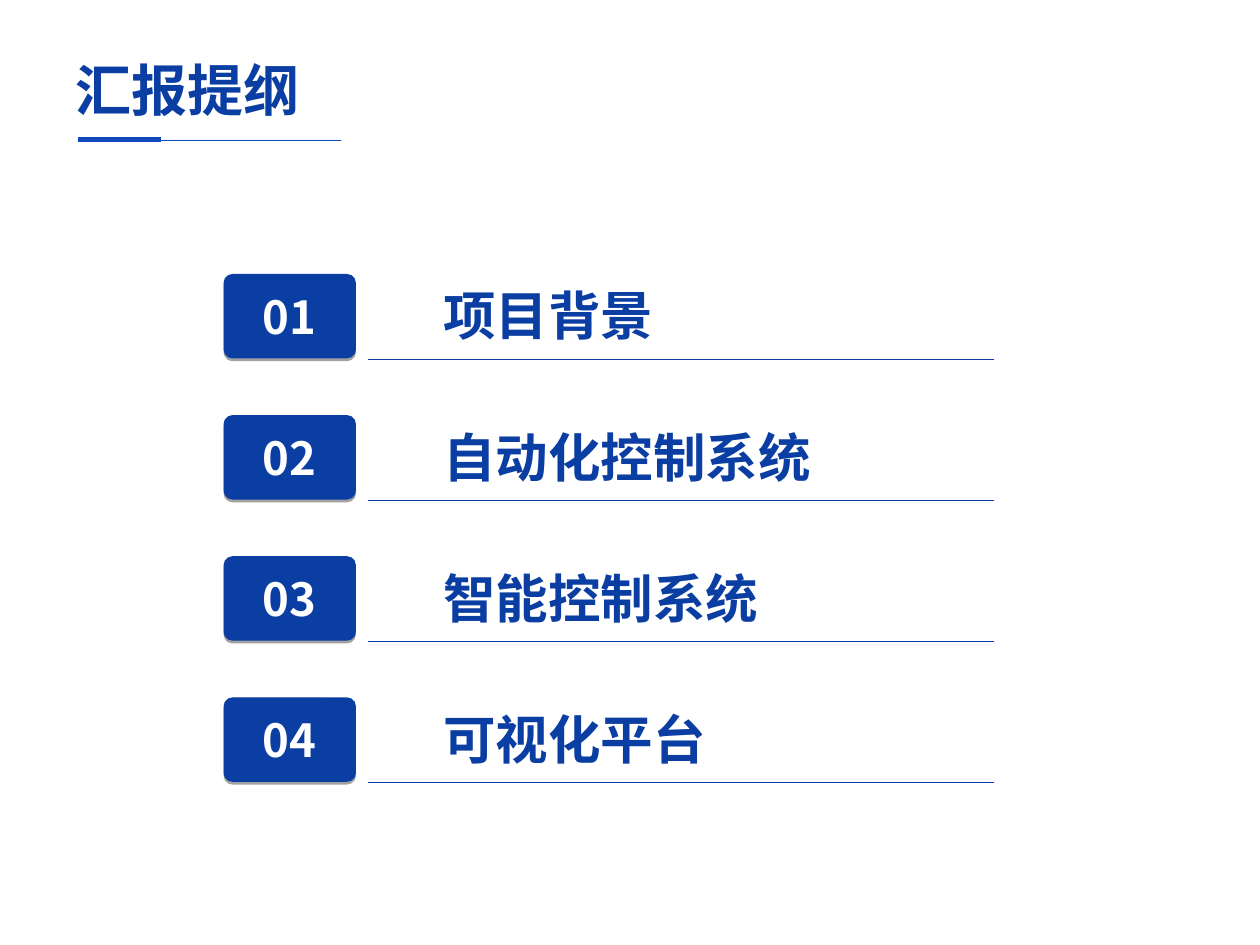
import pptx
import pptx.dml.color
import pptx.enum.shapes
import pptx.enum.text
import pptx.oxml
import pptx.oxml.ns
import pptx.util
from pptx.util import Inches

# Content
TITLE = "汇报提纲"
SECTIONS = ["项目背景", "自动化控制系统", "智能控制系统", "可视化平台"]

BLUE, RULE_BLUE, WHITE = "0B3EA2", "0D47BB", "FFFFFF"
CJK_FONT = "Noto Sans CJK SC"
FIRST_TOP, ROW_STEP = 2.18, 1.12
SHADOW = (
    '<a:outerShdw %s blurRad="0" dist="20320" dir="5400000" algn="t" rotWithShape="0">'
    '<a:srgbClr val="000000"><a:alpha val="37000"/></a:srgbClr></a:outerShdw>'
    % pptx.oxml.ns.nsdecls("a")
)


def rgb(value):
    return pptx.dml.color.RGBColor.from_string(value)


def write(sp, text, size, color=BLUE, font=CJK_FONT, align=None, anchor="TOP"):
    tf = sp.text_frame
    tf.word_wrap = True
    tf.vertical_anchor = getattr(pptx.enum.text.MSO_ANCHOR, anchor)
    p = tf.paragraphs[0]
    p.alignment = align
    r = p.add_run()
    r.text = text
    r.font.size = pptx.util.Pt(size)
    r.font.bold = True
    r.font.name = font
    r.font.color.rgb = rgb(color)
    # East Asian typeface for the Chinese characters
    ea = pptx.oxml.parse_xml("<a:ea %s/>" % pptx.oxml.ns.nsdecls("a"))
    ea.set("typeface", CJK_FONT)
    r.font._element.append(ea)


def add_text(s, text, x, y, w, h, **fmt):
    sp = s.shapes.add_textbox(Inches(x), Inches(y), Inches(w), Inches(h))
    write(sp, text, **fmt)
    sp.text_frame.auto_size = pptx.enum.text.MSO_AUTO_SIZE.SHAPE_TO_FIT_TEXT


def add_rule(shapes, x1, x2, y, color, width):
    line = shapes.add_connector(pptx.enum.shapes.MSO_CONNECTOR.STRAIGHT,
                                Inches(x1), Inches(y), Inches(x2), Inches(y))
    line.line.color.rgb = rgb(color)
    line.line.width = pptx.util.Pt(width)
    line._element.spPr.append(
        pptx.oxml.parse_xml("<a:effectLst %s/>" % pptx.oxml.ns.nsdecls("a")))


def add_badge(s, text, x, y, w, h):
    sp = s.shapes.add_shape(pptx.enum.shapes.MSO_SHAPE.ROUNDED_RECTANGLE,
                            Inches(x), Inches(y), Inches(w), Inches(h))
    sp.adjustments[0] = 0.1
    sp.fill.solid()
    sp.fill.fore_color.rgb = rgb(BLUE)
    sp.line.color.rgb = rgb(BLUE)
    sp.line.width = pptx.util.Pt(0.75)
    sp.shadow.inherit = False
    effects = sp._element.spPr.find(pptx.oxml.ns.qn("a:effectLst"))
    effects.append(pptx.oxml.parse_xml(SHADOW))
    write(sp, text, size=26, color=WHITE,
          align=pptx.enum.text.PP_ALIGN.CENTER, anchor="MIDDLE")


def main():
    prs = pptx.Presentation()
    prs.slide_width, prs.slide_height = Inches(10), Inches(7.5)
    s = prs.slides.add_slide(prs.slide_layouts[6])

    # Title with its thick and thin underline
    add_text(s, TITLE, 0.5, 0.39, 3.69, 0.66, size=32)
    underline = s.shapes.add_group_shape()
    add_rule(underline.shapes, 0.62, 1.28, 1.11, RULE_BLUE, 3)
    add_rule(underline.shapes, 1.15, 2.71, 1.11, RULE_BLUE, 0.25)

    # Numbered sections
    for i, section in enumerate(SECTIONS):
        top = FIRST_TOP + i * ROW_STEP
        add_badge(s, f"{i + 1:02d}", 1.78, top, 1.04, 0.66)
        add_text(s, section, 3.42, top + 0.02, 4.4, 0.61, size=30, font="Calibri")
        add_rule(s.shapes, 2.92, 7.89, top + 0.67, BLUE, 0.5)

    prs.save("out.pptx")


if __name__ == "__main__":
    main()
